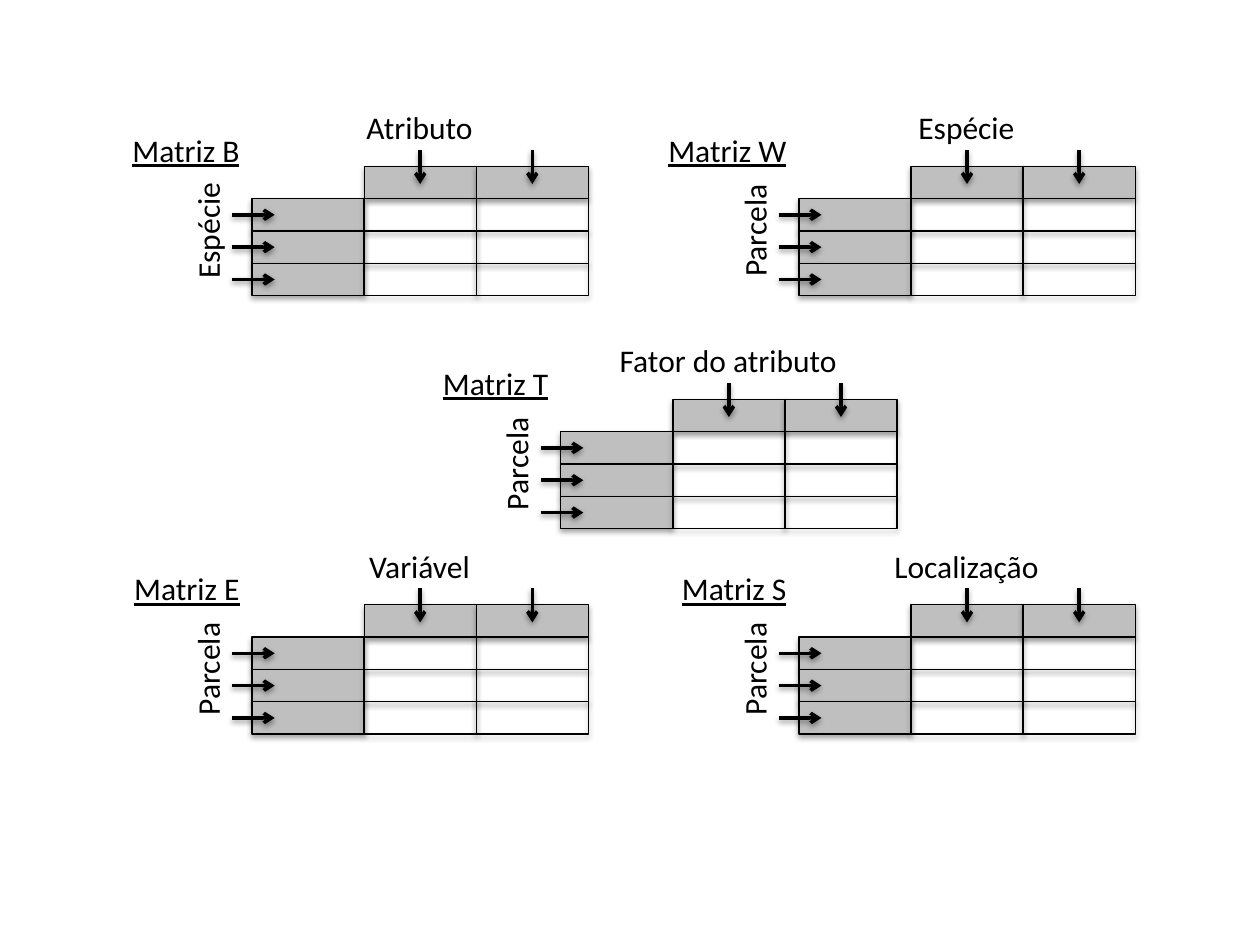
"""Build a slide with five labelled matrices and arrows pointing at their rows and columns."""
from dataclasses import dataclass

from lxml import etree
from pptx import Presentation
from pptx.dml.color import RGBColor
from pptx.enum.shapes import MSO_CONNECTOR as Connector, MSO_SHAPE as Preset
from pptx.enum.text import MSO_AUTO_SIZE as AutoSize, PP_ALIGN as Align
from pptx.oxml.ns import qn
from pptx.util import Inches, Pt


@dataclass(frozen=True)
class Theme:
    ink: RGBColor = RGBColor(0x00, 0x00, 0x00)
    header: RGBColor = RGBColor(0xBF, 0xBF, 0xBF)
    font: str = "Calibri"
    text_size: Pt = Pt(18)
    cell_line: Pt = Pt(0.75)
    arrow_line: Pt = Pt(2)


theme = Theme()
presentation = Presentation()
presentation.slide_width, presentation.slide_height = Inches(10), Inches(7.5)
slide = presentation.slides.add_slide(presentation.slide_layouts[6])


def add_text(text, left, top, width, align=Align.CENTER, underline=None, rotation=0):
    box = slide.shapes.add_textbox(Inches(left), Inches(top), Inches(width), Inches(0.4))
    box.rotation = rotation
    box.text_frame.word_wrap = True
    box.text_frame.auto_size = AutoSize.SHAPE_TO_FIT_TEXT
    paragraph = box.text_frame.paragraphs[0]
    paragraph.alignment = align
    run = paragraph.add_run()
    run.text = text
    run.font.name, run.font.size = theme.font, theme.text_size
    run.font.color.rgb, run.font.underline = theme.ink, underline


def add_arrow(*ends):
    arrow = slide.shapes.add_connector(Connector.STRAIGHT, *map(Inches, ends))
    arrow.line.width = theme.arrow_line
    arrow.line.color.rgb = theme.ink
    etree.SubElement(arrow.line._get_or_add_ln(), qn("a:tailEnd"), type="arrow")


cell_width, cell_height = 0.89, 0.77 / 3
matrices = [
    ("Matriz B", "Espécie", "Atributo", 2, 1.32),
    ("Matriz E", "Parcela", "Variável", 2, 4.8),
    ("Matriz W", "Parcela", "Espécie", 6.34, 1.32),
    ("Matriz S", "Parcela", "Localização", 6.34, 4.8),
    ("Matriz T", "Parcela", "Fator do atributo", 4.45, 3.17),
]

for title, row_label, column_label, left, top in matrices:
    add_text(row_label, left - 0.86, top + 0.31, 1.01, rotation=270)
    add_text(column_label, left, top - 0.51, 2.66)
    add_text(title, left - 1.16, top - 0.33, 1.16, align=Align.RIGHT, underline=True)

    for row in range(4):
        for column in range(3):
            if row == column == 0:
                continue
            cell = slide.shapes.add_shape(
                Preset.RECTANGLE,
                Inches(left + column * cell_width), Inches(top + row * cell_height),
                Inches(cell_width), Inches(cell_height))
            cell.line.width = theme.cell_line
            cell.line.color.rgb = theme.ink
            if row == 0 or column == 0:
                cell.fill.solid()
                cell.fill.fore_color.rgb = theme.header
            else:
                cell.fill.background()

    for row in range(1, 4):
        middle = top + (row + 0.5) * cell_height
        add_arrow(left - 0.16, middle, left + 0.18, middle)
    for column in range(1, 3):
        middle = left + (column + 0.5) * cell_width
        add_arrow(middle, top - 0.13, middle, top + 0.14)

presentation.save("out.pptx")
